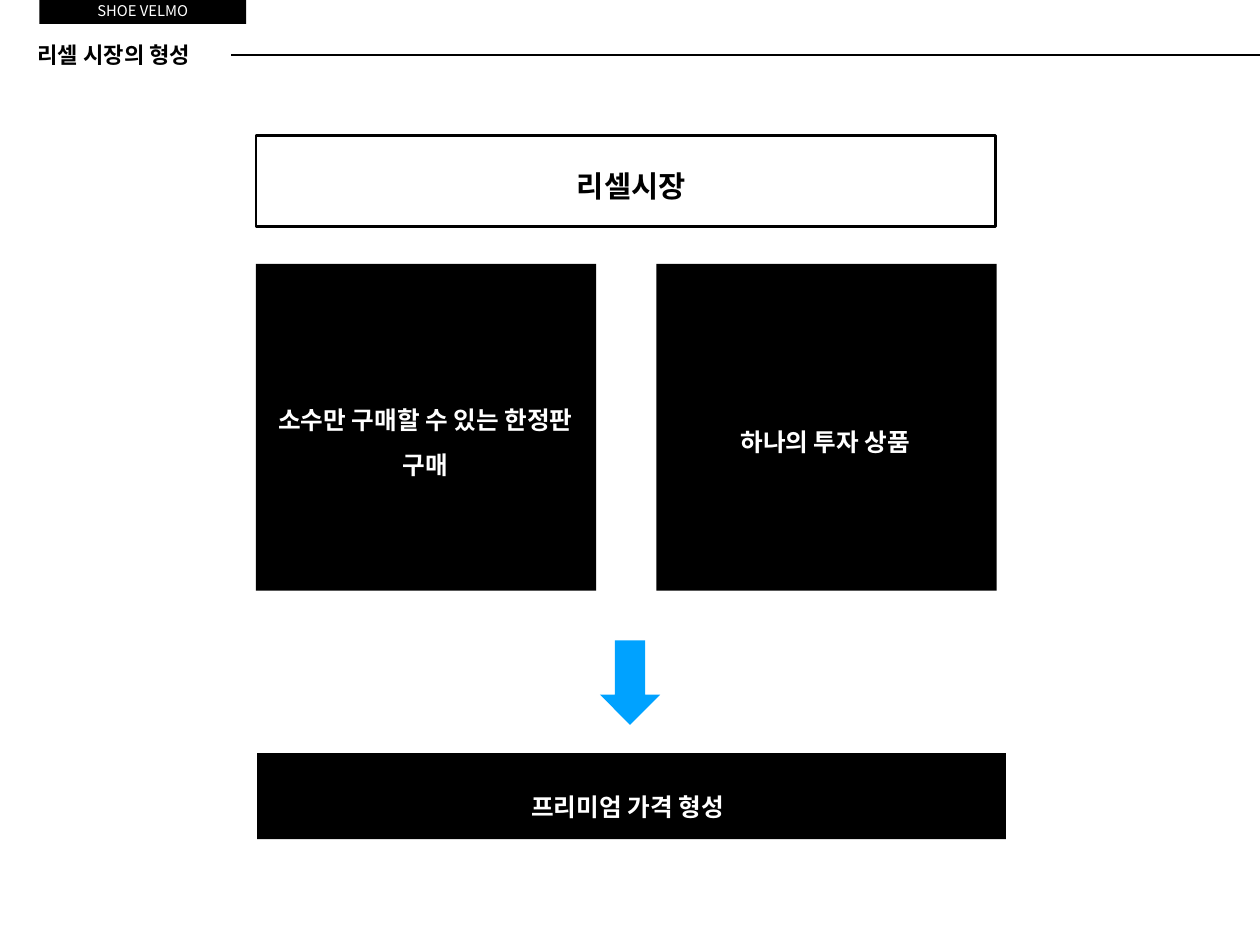
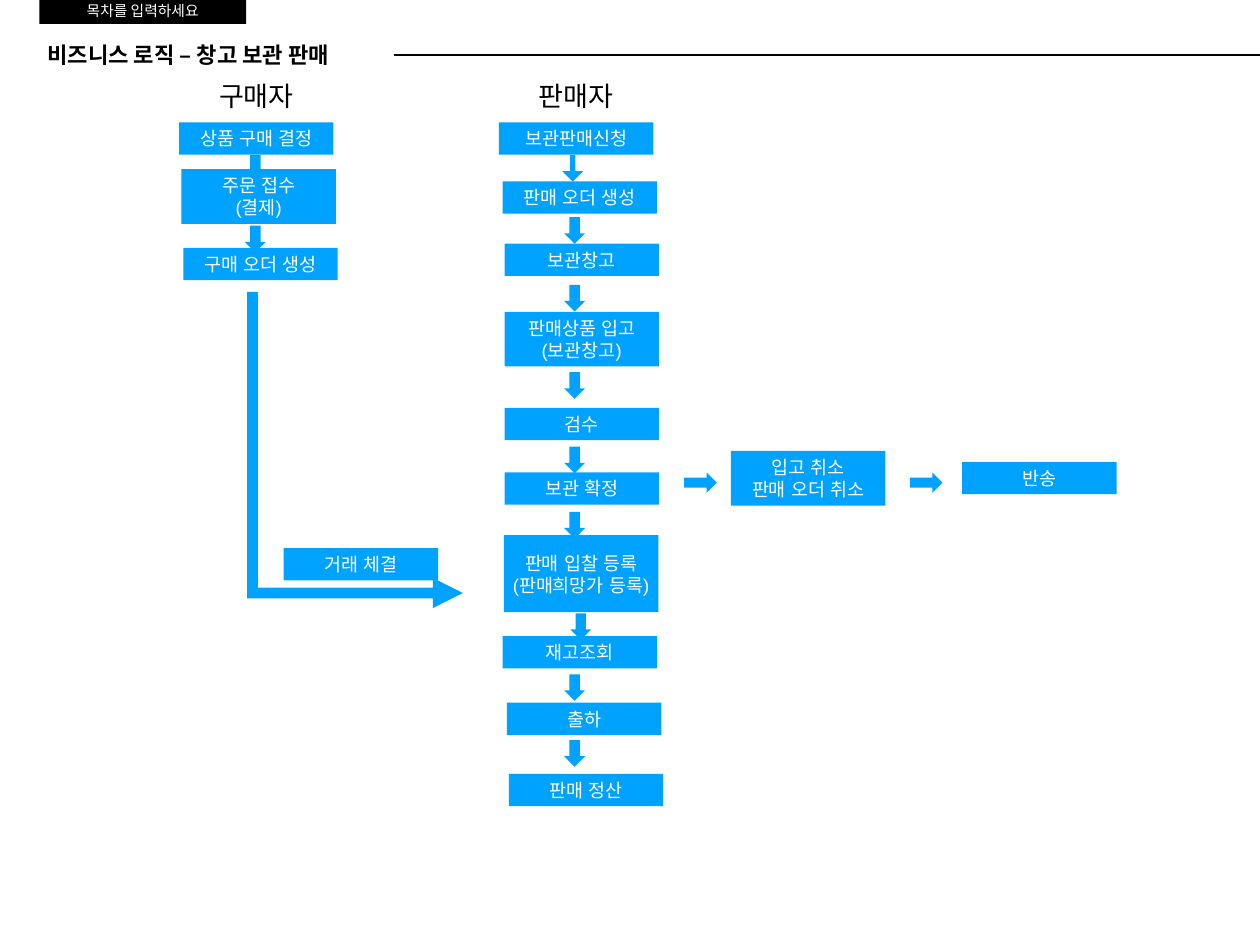
import pptx
import pptx.util
import pptx.dml.color
import pptx.enum.shapes
import pptx.enum.text
import pptx.oxml.ns
from lxml import etree

Pt = pptx.util.Pt
SHAPE = pptx.enum.shapes.MSO_SHAPE
ALIGN = pptx.enum.text.PP_ALIGN
WIDTH, HEIGHT = 1024, 768
COLORS = {"black": "000000", "white": "FFFFFF", "blue": "00A2FF"}
KOREAN, LATIN = "Noto Sans CJK KR", "Arial"


def rgb(name):
    return pptx.dml.color.RGBColor.from_string(COLORS[name])


def set_values(target, values):
    for name, value in values.items():
        setattr(target, name, value)


class Deck:
    frame_values = {
        "margin_left": Pt(4), "margin_right": Pt(4), "margin_top": Pt(4), "margin_bottom": Pt(4),
        "word_wrap": True, "auto_size": pptx.enum.text.MSO_AUTO_SIZE.NONE,
        "vertical_anchor": pptx.enum.text.MSO_ANCHOR.MIDDLE,
    }
    step_width, step_margin, line_height = 125.5, 8, 18.2
    arrow_width, arrow_length = 17, 21.6

    def __init__(self):
        self.presentation = pptx.Presentation()
        set_values(self.presentation, {"slide_width": Pt(WIDTH), "slide_height": Pt(HEIGHT)})
        self.slide = None

    def new_slide(self, tag, title, title_box, line_start):
        self.slide = self.presentation.slides.add_slide(self.presentation.slide_layouts[5])
        self.title(title, title_box)
        self.rule(line_start)
        tag_shape = self.shape(SHAPE.RECTANGLE, (32, -3, 168, 22.5), "black")
        self.label(tag_shape, tag, 12, "white", KOREAN)

    def title(self, text, box):
        shape = self.slide.shapes.title
        set_values(shape, dict(zip(("left", "top", "width", "height"), map(Pt, box))))
        self.label(shape, text, 18, "black", KOREAN, bold=True, alignment=ALIGN.LEFT)

    def rule(self, start):
        line = self.slide.shapes.add_connector(
            pptx.enum.shapes.MSO_CONNECTOR.STRAIGHT, Pt(start), Pt(44.6), Pt(WIDTH), Pt(44.6))
        line.line.color.rgb = rgb("black")
        line.line.width = Pt(2)
        etree.SubElement(line._element.spPr, pptx.oxml.ns.qn("a:effectLst"))

    def shape(self, kind, box, fill=None, outline=None, shapes=None, adjustments=()):
        shapes = self.slide.shapes if shapes is None else shapes
        shape = shapes.add_shape(kind, *map(Pt, box))
        shape.shadow.inherit = False
        if fill:
            shape.fill.solid()
            shape.fill.fore_color.rgb = rgb(fill)
        else:
            shape.fill.background()
        if outline:
            shape.line.color.rgb = rgb(outline)
            shape.line.width = Pt(2.25)
        else:
            shape.line.fill.background()
        for index, value in enumerate(adjustments):
            shape.adjustments[index] = value
        return shape

    def label(self, shape, text, size, color, font, bold=False, alignment=ALIGN.CENTER, spacing=1.0):
        frame = shape.text_frame
        set_values(frame, self.frame_values)
        frame.text = text
        for paragraph in frame.paragraphs:
            set_values(paragraph, {"alignment": alignment, "line_spacing": spacing})
            for run in paragraph.runs:
                set_values(run.font, {"name": font, "size": Pt(size), "bold": bold})
                run.font.color.rgb = rgb(color)
                east_asian = etree.SubElement(run.font._element, pptx.oxml.ns.qn("a:ea"))
                east_asian.set("typeface", font)

    def panel(self, box, text_box, text, size=20, fill="black", outline=None, color="white"):
        group = self.slide.shapes.add_group_shape()
        self.shape(SHAPE.RECTANGLE, box, fill, outline, group.shapes)
        caption = group.shapes.add_textbox(*map(Pt, text_box))
        self.label(caption, text, size, color, KOREAN, bold=True, spacing=1.5)

    def heading(self, left, text):
        shape = self.shape(SHAPE.RECTANGLE, (left, 60.5, self.step_width, 34.5), "white")
        self.label(shape, text, 22, "black", LATIN)

    def step(self, left, top, text, lines=1):
        height = self.step_margin + self.line_height * lines
        shape = self.shape(SHAPE.RECTANGLE, (left, top, self.step_width, height), "blue")
        self.label(shape, text, 15, "white", LATIN)

    def down_arrow(self, left, top, adjustments=()):
        box = (left, top, self.arrow_width, self.arrow_length)
        self.shape(SHAPE.DOWN_ARROW, box, "blue", adjustments=adjustments)


def build_market(deck):
    deck.new_slide("SHOE VELMO", "리셀 시장의 형성", (26.5, 29.5, 148.5, 30), 188)
    deck.panel((208, 110, 601, 74), (220.5, 118, 585, 52), "리셀시장", 24, None, "black", "black")
    deck.panel((208, 214.5, 276.5, 265.5), (222, 313, 247.5, 80.5), "소수만 구매할 수 있는 한정판 구매")
    deck.panel((533.5, 214.5, 276.5, 265.5), (547, 331, 247.5, 44.5), "하나의 투자 상품")
    deck.panel((209, 612, 608.5, 70), (248, 627, 524, 44.5), "프리미엄 가격 형성")
    deck.shape(SHAPE.DOWN_ARROW, (487.5, 520.5, 49, 68.5), "blue")


def build_logic(deck):
    deck.new_slide("목차를 입력하세요", "비즈니스 로직 – 창고 보관 판매", (34.5, 29.5, 268, 30), 320.5)
    deck.heading(145.5, "구매자")
    deck.heading(405.5, "판매자")
    buyer_steps = [
        (145.5, 99.5, "상품 구매 결정"),
        (147.5, 137.5, "주문 접수\n(결제)", 2),
        (149, 201.5, "구매 오더 생성"),
    ]
    seller_steps = [
        (405.5, 99.5, "보관판매신청"),
        (408.5, 147.5, "판매 오더 생성"),
        (410, 198, "보관창고"),
        (410, 253.5, "판매상품 입고\n(보관창고)", 2),
        (410, 331.5, "검수"),
        (410, 384, "보관 확정"),
        (409.5, 435, "판매 입찰 등록\n(판매희망가 등록)", 3),
        (408.5, 517, "재고조회"),
        (412, 571, "출하"),
        (413.5, 629, "판매 정산"),
    ]
    return_steps = [
        (594, 366.5, "입고 취소\n판매 오더 취소", 2),
        (782, 375.5, "반송"),
    ]
    for step in buyer_steps + seller_steps + return_steps:
        deck.step(*step)
    for top in (126, 183.5):
        deck.down_arrow(199, top)
    deck.down_arrow(457, 126, (0.26, 0.5))
    for top in (176.5, 231.5, 302.5, 363, 416, 548, 601.5):
        deck.down_arrow(458.5, top)
    deck.down_arrow(463.5, 498.5)
    for left in (556, 739.5):
        deck.shape(SHAPE.RIGHT_ARROW, (left, 384, 26.5, 16.5), "blue")
    trade_arrow = deck.shape(
        SHAPE.BENT_UP_ARROW, (160, 278, 257, 175.5), "blue", adjustments=(0.05, 0.07, 0.14))
    trade_arrow.rotation = 90
    deck.step(230.5, 445.5, "거래 체결")


def main():
    deck = Deck()
    build_market(deck)
    build_logic(deck)
    deck.presentation.save("out.pptx")


if __name__ == "__main__":
    main()
